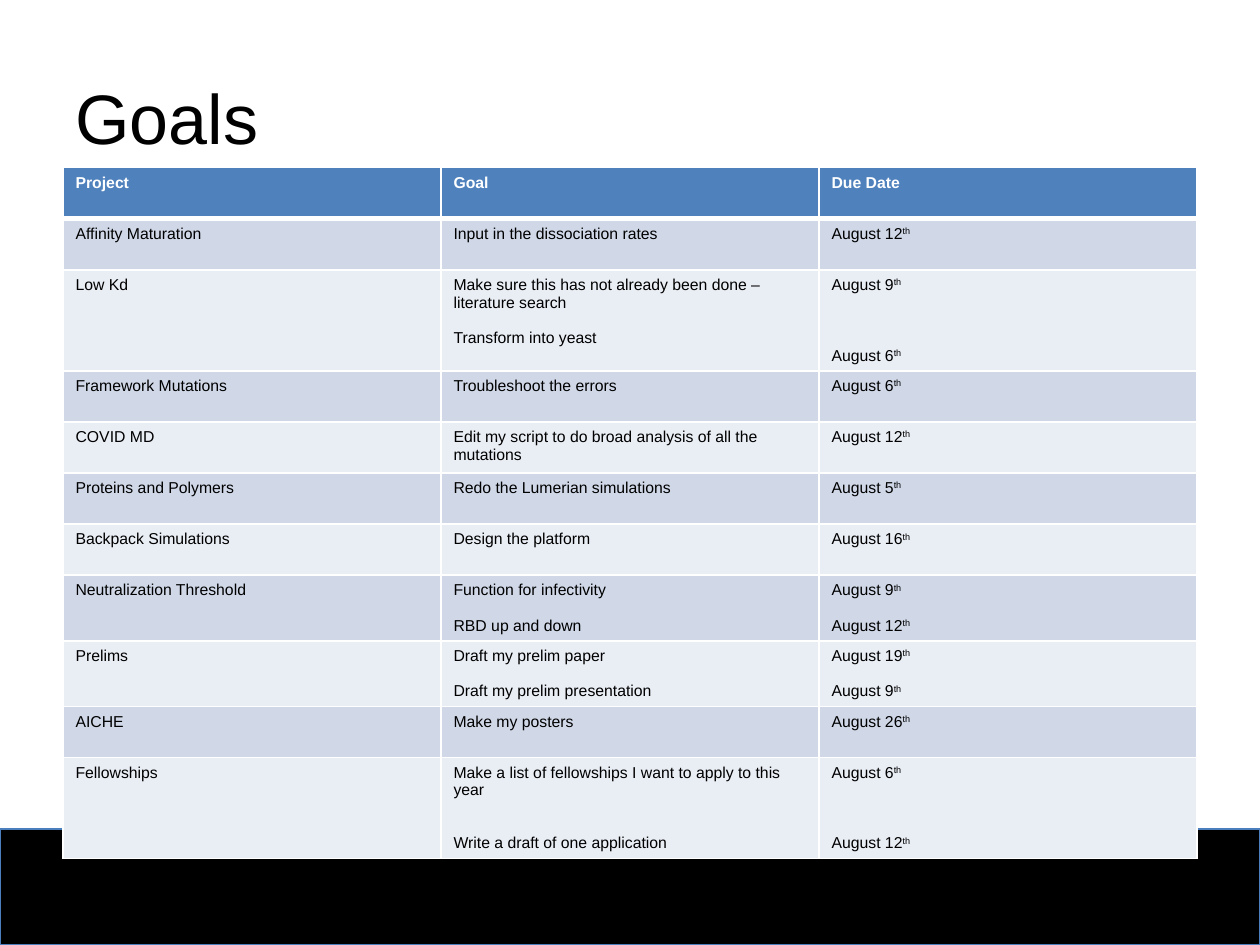
from lxml.etree import SubElement
from pptx import Presentation
from pptx.dml.color import RGBColor
from pptx.enum.shapes import MSO_SHAPE as Shape
from pptx.enum.text import MSO_ANCHOR as Anchor, PP_ALIGN as Align
from pptx.oxml.ns import qn
from pptx.util import Cm, Pt

FONT = "Arial"
BLANK_LINE = 10.1
HEADINGS = ["Project", "Goal", "Due Date"]
GOALS = [
    ("Affinity Maturation", [(0, "Input in the dissociation rates")], [(0, "August 12")]),
    ("Low Kd",
     [(0, "Make sure this has not already been done – literature search"),
      (1, "Transform into yeast")],
     [(0, "August 9"), (3, "August 6")]),
    ("Framework Mutations", [(0, "Troubleshoot the errors")], [(0, "August 6")]),
    ("COVID MD", [(0, "Edit my script to do broad analysis of all the mutations")],
     [(0, "August 12")]),
    ("Proteins and Polymers", [(0, "Redo the Lumerian simulations")], [(0, "August 5")]),
    ("Backpack Simulations", [(0, "Design the platform")], [(0, "August 16")]),
    ("Neutralization Threshold",
     [(0, "Function for infectivity"), (1, "RBD up and down")],
     [(0, "August 9"), (1, "August 12")]),
    ("Prelims",
     [(0, "Draft my prelim paper"), (1, "Draft my prelim presentation")],
     [(0, "August 19"), (1, "August 9")]),
    ("AICHE", [(0, "Make my posters")], [(0, "August 26")]),
    ("Fellowships",
     [(0, "Make a list of fellowships I want to apply to this year"),
      (2, "Write a draft of one application")],
     [(0, "August 6"), (3, "August 12")]),
]


def color(hex_code):
    return RGBColor.from_string(hex_code)


def add_run(paragraph, text, size, hex_code="000000", bold=False):
    run = paragraph.add_run()
    run.text = text
    run.font.name = FONT
    run.font.size = Pt(size)
    run.font.bold = bold
    run.font.color.rgb = color(hex_code)
    return run


def set_borders(cell, bottom_width):
    properties = cell._tc.get_or_add_tcPr()
    for side, width in (("L", 1), ("R", 1), ("T", 1), ("B", bottom_width)):
        border = SubElement(properties, qn(f"a:ln{side}"), w=str(Pt(width)))
        fill = SubElement(border, qn("a:solidFill"))
        SubElement(fill, qn("a:srgbClr"), val="FFFFFF")


def fill_cell(cell, entries, background, hex_code="000000", heading=False, ordinal=False):
    set_borders(cell, 3 if heading else 1)
    cell.fill.solid()
    cell.fill.fore_color.rgb = color(background)
    for index, (blank_lines, text) in enumerate(entries):
        frame = cell.text_frame
        paragraph = frame.add_paragraph() if index else frame.paragraphs[0]
        if blank_lines:
            paragraph.space_before = Pt(round(blank_lines * BLANK_LINE, 1))
        add_run(paragraph, text, 9, hex_code, heading)
        if ordinal:
            suffix = add_run(paragraph, "th", 9, hex_code)
            suffix.font._element.set("baseline", "30000")


def add_footer_band(slide, left, top, width, height):
    band = slide.shapes.add_shape(Shape.RECTANGLE, left, top, width, height)
    band.shadow.inherit = False
    band.fill.solid()
    band.fill.fore_color.rgb = color("000000")
    band.line.color.rgb = color("4B7EBC")
    band.line.width = Pt(0.75)


def place_title(slide, left, top, width, height):
    title = slide.shapes.title
    title.left, title.top, title.width, title.height = left, top, width, height
    title.text_frame.vertical_anchor = Anchor.MIDDLE
    paragraph = title.text_frame.paragraphs[0]
    paragraph.alignment = Align.LEFT
    add_run(paragraph, "Goals", 40)


def add_goal_table(slide, left, top, width, row_height):
    row_count = len(GOALS) + 1
    table = slide.shapes.add_table(
        row_count, len(HEADINGS), left, top, width, row_height * row_count).table
    for row in table.rows:
        row.height = row_height
    for column, heading in enumerate(HEADINGS):
        fill_cell(table.cell(0, column), [(0, heading)], "4F81BD", "FFFFFF", heading=True)
    for row, (project, goals, dates) in enumerate(GOALS, start=1):
        background = "D0D8E8" if row % 2 else "E9EDF4"
        fill_cell(table.cell(row, 0), [(0, project)], background)
        fill_cell(table.cell(row, 1), goals, background)
        fill_cell(table.cell(row, 2), dates, background, ordinal=True)


def main():
    deck = Presentation()
    deck.slide_width, deck.slide_height = Cm(25.4), Cm(19.05)
    slide = deck.slides.add_slide(deck.slide_layouts[5])
    add_footer_band(slide, Cm(0), Cm(16.71), Cm(25.4), Cm(2.34))
    place_title(slide, Cm(1.27), Cm(0.76), Cm(22.86), Cm(3.18))
    add_goal_table(slide, Cm(1.27), Cm(3.38), Cm(22.86), Cm(1.03))
    deck.save("out.pptx")


if __name__ == "__main__":
    main()
